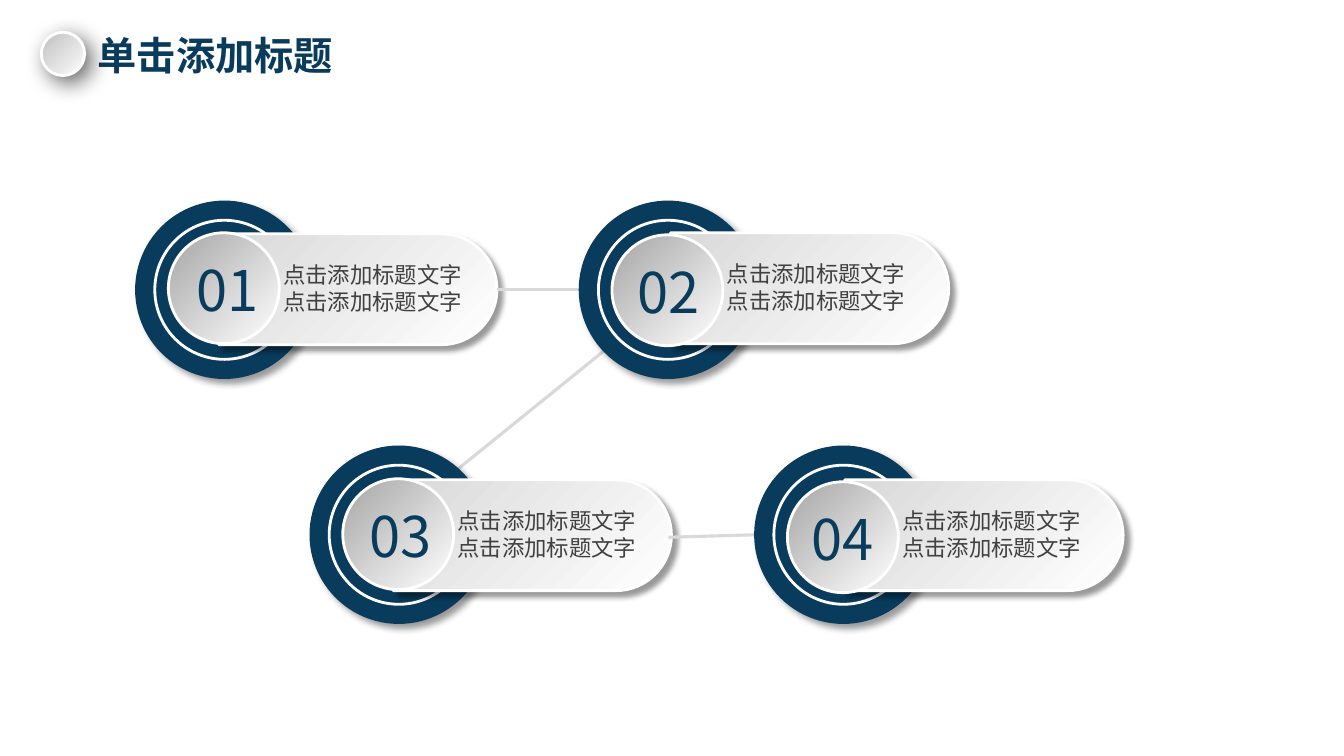
from dataclasses import dataclass

from lxml.etree import SubElement
from pptx import Presentation
from pptx.dml.color import RGBColor
from pptx.enum.shapes import MSO_CONNECTOR as CONNECTOR, MSO_SHAPE as SHAPE
from pptx.enum.text import MSO_ANCHOR as ANCHOR, MSO_AUTO_SIZE as AUTO_SIZE, PP_ALIGN as ALIGN
from pptx.oxml.ns import qn
from pptx.util import Inches, Pt

FONT = "Noto Sans CJK SC"
NAVY, GREY, WHITE, TEXT = "093B5C", "D9D9D9", "FFFFFF", "404040"
HUB, RING, KNOB = 1.77, 1.38, 1.1
PILL_WIDTH, PILL_HEIGHT = 2.76, 1.1
ARC_HANDLE = 0.55  # Bezier handle of a quarter circle, as a share of its radius


@dataclass
class Station:
    """A numbered hub; offsets are from its top left corner, links lie behind it."""
    number: str
    left: float
    top: float
    pill_offset: float
    pill_drop: float
    knob_drop: float
    number_offset: float
    links: tuple = ()


STATIONS = [
    Station("01", 1.34, 1.99, 0.83, 0.33, 0.32, 0.49),
    Station("02", 5.74, 1.99, 0.91, 0.32, 0.34, 0.46,
            ((6.14, 3.36, 4.41, 4.76), (5.74, 2.87, 4.93, 2.87))),
    Station("03", 3.07, 4.42, 0.83, 0.34, 0.33, 0.47),
    Station("04", 7.48, 4.42, 0.9, 0.34, 0.36, 0.45, ((7.67, 5.3, 6.63, 5.33),)),
]


def rgb(color):
    return RGBColor.from_string(color)


def add_shadow(shape, opacity, blur, distance):
    effects = shape.element.spPr.find(qn("a:effectLst"))
    shadow = SubElement(effects, qn("a:outerShdw"), blurRad=str(Pt(blur)),
                        dist=str(Pt(distance)), dir="2700000", algn="tl", rotWithShape="0")
    color = SubElement(shadow, qn("a:srgbClr"), val="000000")
    SubElement(color, qn("a:alpha"), val=str(opacity * 1000))


def paint(shape, fill, line=None, shadow=None):
    """Fill with one colour, or with a gradient from white to a (colour,) tuple."""
    shape.shadow.inherit = False
    if isinstance(fill, tuple):
        shape.fill.gradient()
        shape.fill.gradient_angle = 135
        for stop, color in zip(shape.fill.gradient_stops, (WHITE, *fill)):
            stop.color.rgb = rgb(color)
    else:
        shape.fill.solid()
        shape.fill.fore_color.rgb = rgb(fill)
    if line:
        shape.line.color.rgb = rgb(line)
        shape.line.width = Pt(2)
    else:
        shape.line.fill.background()
    if shadow:
        add_shadow(shape, *shadow)


def add_circle(slide, left, top, size, fill, line=None, shadow=None):
    circle = slide.shapes.add_shape(SHAPE.OVAL, Inches(left), Inches(top),
                                    Inches(size), Inches(size))
    paint(circle, fill, line, shadow)


def curve_segment(segment, *handles):
    """Turn a straight freeform segment into a Bezier curve."""
    segment.tag = qn("a:cubicBezTo")
    for index, (x, y) in enumerate(handles):
        SubElement(segment, qn("a:pt"), x=str(Inches(x)), y=str(Inches(y)))
        segment.insert(index, segment[-1])


def add_pill(slide, left, top):
    """Bar with a square left end and a round right end."""
    radius = PILL_HEIGHT / 2
    straight, reach = PILL_WIDTH - radius, radius * ARC_HANDLE
    corners = [(straight, 0), (PILL_WIDTH, radius), (straight, PILL_HEIGHT), (0, PILL_HEIGHT)]
    builder = slide.shapes.build_freeform(Inches(left), Inches(top))
    builder.add_line_segments([(Inches(left + x), Inches(top + y)) for x, y in corners])
    pill = builder.convert_to_shape()
    segments = list(pill.element.iter(qn("a:lnTo")))
    curve_segment(segments[1], (straight + reach, 0), (PILL_WIDTH, radius - reach))
    curve_segment(segments[2], (PILL_WIDTH, radius + reach), (straight + reach, PILL_HEIGHT))
    paint(pill, (GREY,), WHITE, (40, 4, 5))


def add_link(slide, x1, y1, x2, y2):
    link = slide.shapes.add_connector(CONNECTOR.STRAIGHT, Inches(x1), Inches(y1),
                                      Inches(x2), Inches(y2))
    link.line.color.rgb = rgb(GREY)
    link.line.width = Pt(2.25)
    SubElement(link.element.spPr, qn("a:effectLst"))


def write(frame, text, size, color, align=ALIGN.LEFT, bold=False):
    frame.text = text
    frame.auto_size = AUTO_SIZE.SHAPE_TO_FIT_TEXT
    for paragraph in frame.paragraphs:
        paragraph.alignment = align
        font = paragraph.font
        font.name, font.size, font.bold = FONT, Pt(size), bold
        font.color.rgb = rgb(color)
        properties = paragraph._p.pPr.find(qn("a:defRPr"))
        SubElement(properties, qn("a:ea"), typeface=FONT)


def add_label(slide, left, top, width, height, *text_format):
    box = slide.shapes.add_textbox(Inches(left), Inches(top), Inches(width), Inches(height))
    box.text_frame.word_wrap = False
    write(box.text_frame, *text_format)


def add_title(slide, text):
    title = slide.shapes.title
    title.left, title.top = Inches(0.87), Inches(0.26)
    title.width, title.height = Inches(5.06), Inches(1.04)
    title.text_frame.vertical_anchor = ANCHOR.TOP
    write(title.text_frame, text, 28, NAVY, ALIGN.LEFT, True)


def add_station(slide, station):
    left, top = station.left, station.top
    for link in station.links:
        add_link(slide, *link)
    inset = (HUB - RING) / 2
    add_circle(slide, left, top, HUB, NAVY, shadow=(40, 5, 5))
    add_circle(slide, left + inset, top + inset, RING, NAVY, WHITE)
    pill_top = top + station.pill_drop
    add_pill(slide, left + station.pill_offset, pill_top)
    add_label(slide, left + 1.37, pill_top + 0.22, 2, 0.64,
              "点击添加标题文字\n点击添加标题文字", 16, TEXT)
    knob_top = top + station.knob_drop
    add_circle(slide, left + 0.33, knob_top, KNOB, ("A6A6A6",), WHITE)
    add_label(slide, left + station.number_offset, knob_top + 0.18, 0.86, 0.77,
              station.number, 40, NAVY, ALIGN.CENTER)


def main():
    presentation = Presentation()
    presentation.slide_width, presentation.slide_height = Inches(13.33), Inches(7.5)
    slide = presentation.slides.add_slide(presentation.slide_layouts[5])
    add_title(slide, "单击添加标题")
    add_circle(slide, 0.41, 0.32, 0.43, ("BFBFBF",), WHITE, (60, 16, 6))
    for station in STATIONS:
        add_station(slide, station)
    presentation.save("out.pptx")


if __name__ == "__main__":
    main()
